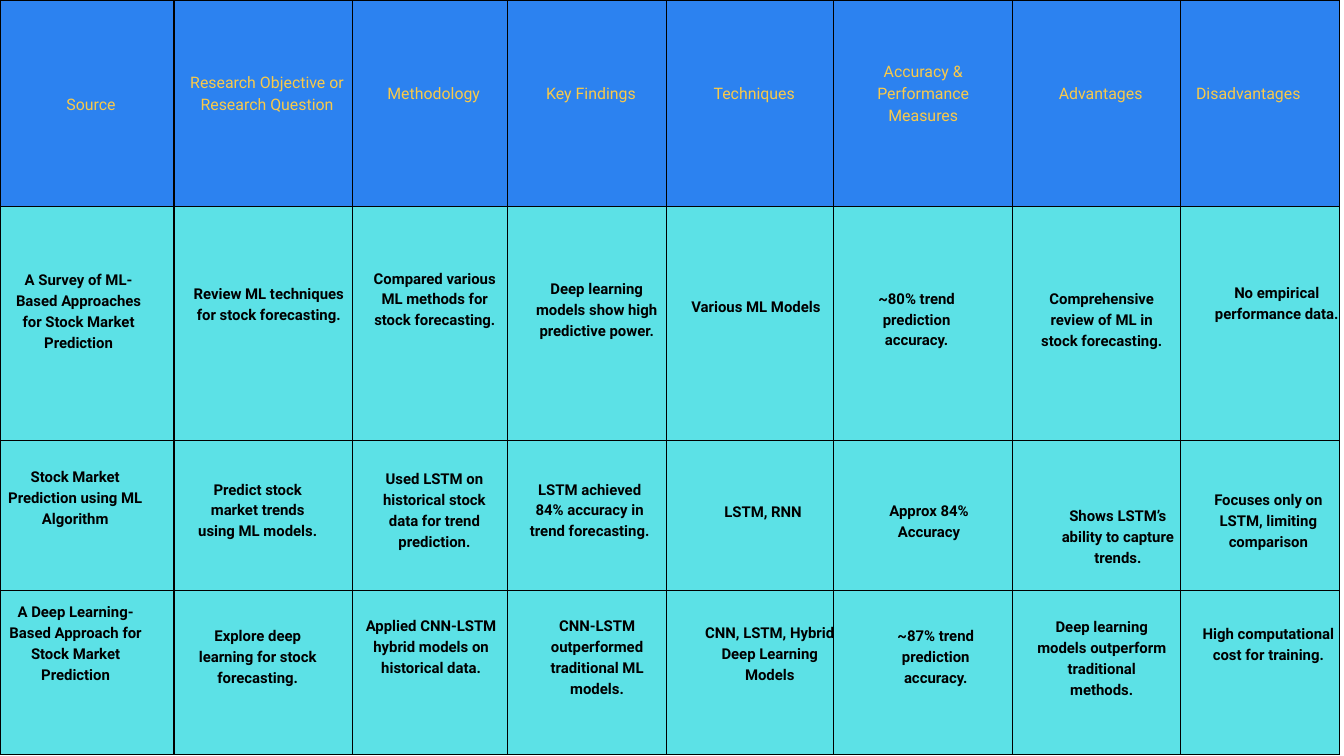
from dataclasses import dataclass

from lxml.etree import SubElement
from pptx import Presentation
from pptx.dml.color import RGBColor
from pptx.enum.text import MSO_ANCHOR, PP_ALIGN
from pptx.oxml.ns import qn
from pptx.util import Inches, Pt

HEADER_BLUE = "2C82F0"
BODY_TEAL = "5CE1E6"
GOLD = "FACA49"
BLACK = "000000"
COLUMN_WIDTHS = [2.59, 2.65, 2.31, 2.37, 2.49, 2.66, 2.5, 2.36]
ROW_HEIGHTS = [3.07, 3.48, 2.24, 2.44]


@dataclass
class Heading:
    lines: list[str]
    left: float = 0.17
    right: float = 0.05
    bottom: float = 0.44
    align: PP_ALIGN = PP_ALIGN.CENTER


@dataclass
class Finding:
    text: str
    left: float
    top: float
    width: float = 1.99
    height: float = 0.92


HEADINGS = [
    Heading(["Source"], bottom=0.11),
    Heading(["Research Objective or", "Research Question"]),
    Heading(["Methodology"]),
    Heading(["Key Findings"]),
    Heading(["Techniques"]),
    Heading(["Accuracy &", "Performance Measures"], left=0.11, right=0.11),
    Heading(["Advantages"]),
    Heading(["Disadvantages"], left=0.23, align=PP_ALIGN.LEFT),
]

FINDINGS = [
    Finding("A Survey of ML-Based Approaches for Stock Market Prediction", 0.12, 3.98, 2.1, 1.5),
    Finding("Review ML techniques for stock forecasting.", 2.84, 4.19, 2.32),
    Finding("Compared various ML methods for stock forecasting.", 5.53, 3.96, 1.88, 1.52),
    Finding("Deep learning models show high predictive power.", 7.88, 4.12, 2),
    Finding("Various ML Models", 10.25, 4.39, 2, 0.61),
    Finding("~80% trend prediction accuracy.", 12.64, 4.26, 2),
    Finding("Comprehensive review of ML in stock forecasting.", 15.48, 4.27, 1.83, 1.51),
    Finding("No empirical performance data.", 18, 4.17, 2),
    Finding("Stock Market Prediction using ML Algorithm", 0.07, 6.91, 2.1),
    Finding("Predict stock market trends using ML models.", 2.84, 7.1),
    Finding("Used LSTM on historical stock data for trend prediction.", 5.47, 6.95, height=1.22),
    Finding("LSTM achieved 84% accuracy in trend forecasting.", 7.78, 7.1),
    Finding("LSTM, RNN", 10.36, 7.44, height=0.31),
    Finding("Approx 84% Accuracy", 12.83, 7.42, height=0.61),
    Finding("Shows LSTM’s ability to capture trends.", 15.64, 7.49),
    Finding("Focuses only on LSTM, limiting comparison", 17.88, 7.26),
    Finding("A Deep Learning-Based Approach for Stock Market Prediction", 0.13, 8.92, height=1.22),
    Finding("Explore deep learning for stock forecasting.", 2.84, 9.28),
    Finding("Applied CNN-LSTM hybrid models on historical data.", 5.42, 9.13, height=1.22),
    Finding("CNN-LSTM outperformed traditional ML models.", 7.89, 9.13, height=1.22),
    Finding("CNN, LSTM, Hybrid Deep Learning Models", 10.46, 9.24),
    Finding("~87% trend prediction accuracy.", 12.93, 9.28),
    Finding("Deep learning models outperform traditional methods.", 15.4, 9.15, height=1.81),
    Finding("High computational cost for training.", 17.88, 9.25),
]


def color(value: str) -> RGBColor:
    return RGBColor.from_string(value)


def write_text(frame, lines, *, size, fill, spacing, bold=False, align=PP_ALIGN.CENTER) -> None:
    for index, line in enumerate(lines):
        paragraph = frame.paragraphs[0] if index == 0 else frame.add_paragraph()
        paragraph.alignment = align
        paragraph.line_spacing = Pt(spacing)
        run = paragraph.add_run()
        run.text = line
        run.font.name = "Roboto"
        run.font.size = Pt(size)
        run.font.bold = bold
        run.font.color.rgb = color(fill)


def style_cell(cell, fill: str) -> None:
    properties = cell._tc.get_or_add_tcPr()
    for side in ("a:lnL", "a:lnR", "a:lnT", "a:lnB"):
        border = SubElement(properties, qn(side), w=str(Pt(1.5)))
        solid = SubElement(border, qn("a:solidFill"))
        SubElement(solid, qn("a:srgbClr"), val=BLACK)
    cell.fill.solid()
    cell.fill.fore_color.rgb = color(fill)


def add_comparison_table(slide) -> None:
    table = slide.shapes.add_table(
        len(ROW_HEIGHTS), len(COLUMN_WIDTHS), 0, 0,
        Inches(sum(COLUMN_WIDTHS)), Inches(sum(ROW_HEIGHTS)),
    ).table
    table.first_row = False
    table.horz_banding = False
    for column, width in zip(table.columns, COLUMN_WIDTHS):
        column.width = Inches(width)
    for index, (row, height) in enumerate(zip(table.rows, ROW_HEIGHTS)):
        row.height = Inches(height)
        for cell in row.cells:
            style_cell(cell, BODY_TEAL if index else HEADER_BLUE)
    for cell, heading in zip(table.rows[0].cells, HEADINGS):
        cell.vertical_anchor = MSO_ANCHOR.MIDDLE
        cell.margin_left = Inches(heading.left)
        cell.margin_right = Inches(heading.right)
        cell.margin_top = Inches(0.11)
        cell.margin_bottom = Inches(heading.bottom)
        write_text(cell.text_frame, heading.lines, size=17, fill=GOLD,
                   spacing=23.8, align=heading.align)


def add_finding(slide, finding: Finding) -> None:
    frame = slide.shapes.add_textbox(
        Inches(finding.left), Inches(finding.top),
        Inches(finding.width), Inches(finding.height),
    ).text_frame
    frame.word_wrap = True
    frame.margin_left = frame.margin_right = frame.margin_top = frame.margin_bottom = 0
    write_text(frame, [finding.text], size=16, fill=BLACK, spacing=22.4, bold=True)


def main() -> None:
    presentation = Presentation()
    presentation.slide_width = Inches(20)
    presentation.slide_height = Inches(11.25)
    slide = presentation.slides.add_slide(presentation.slide_layouts[6])
    add_comparison_table(slide)
    for finding in FINDINGS:
        add_finding(slide, finding)
    presentation.save("out.pptx")


if __name__ == "__main__":
    main()
